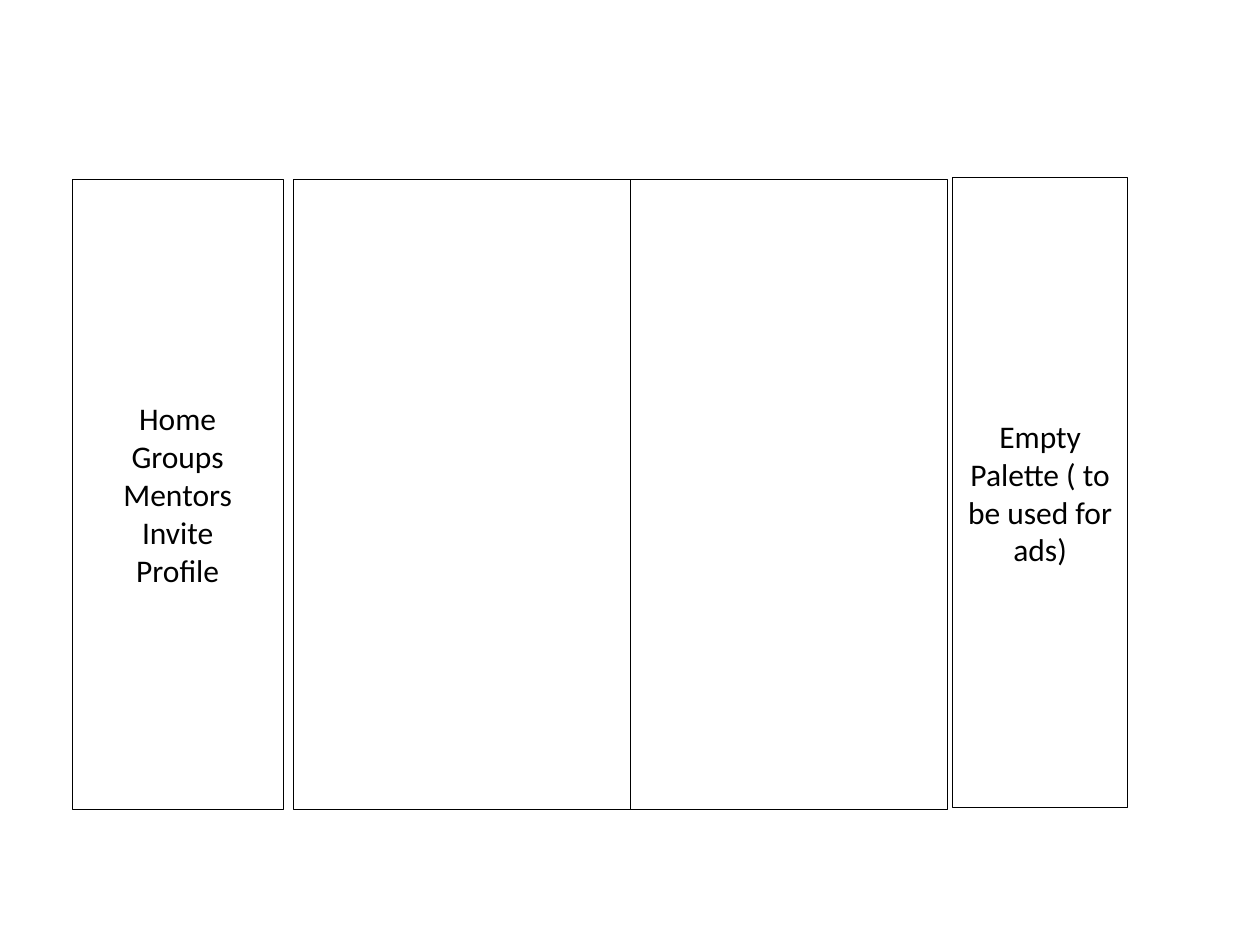
from pptx import Presentation
from pptx.dml.color import RGBColor
from pptx.enum.shapes import MSO_SHAPE as Shape
from pptx.enum.text import MSO_ANCHOR as Anchor, PP_ALIGN as Align
from pptx.util import Inches, Pt

BLACK = RGBColor(0x00, 0x00, 0x00)
WHITE = RGBColor(0xFF, 0xFF, 0xFF)
PANEL_TOP = 1.42
PANEL_HEIGHT = 5
MENU_ITEMS = ["Home", "Groups", "Mentors", "Invite", "Profile"]


def add_panel(page, left, width, top=PANEL_TOP):
    box = page.shapes.add_shape(Shape.RECTANGLE, Inches(left), Inches(top),
                                Inches(width), Inches(PANEL_HEIGHT))
    box.shadow.inherit = False
    box.fill.solid()
    box.fill.fore_color.rgb = WHITE
    box.line.color.rgb = BLACK
    box.line.width = Pt(0.25)
    return box


def write_text(box, lines, size=18, font="Calibri", color=BLACK, align=Align.CENTER):
    """Write each line as its own paragraph, centred vertically in the box."""
    frame = box.text_frame
    frame.word_wrap = True
    frame.vertical_anchor = Anchor.MIDDLE
    frame.text = "\n".join(lines)
    for para in frame.paragraphs:
        para.alignment = align
        for span in para.runs:
            span.font.size = Pt(size)
            span.font.name = font
            span.font.color.rgb = color


def main():
    deck = Presentation()
    deck.slide_width, deck.slide_height = Inches(10), Inches(7.5)
    page = deck.slides.add_slide(deck.slide_layouts[6])

    add_panel(page, 2.33, 2.67)
    add_panel(page, 5, 2.52)
    menu = add_panel(page, 0.57, 1.68)
    write_text(menu, MENU_ITEMS)
    ads = add_panel(page, 7.56, 1.39, top=1.41)
    write_text(ads, ["Empty Palette ( to be used for ads)"])

    deck.save("out.pptx")


if __name__ == "__main__":
    main()
